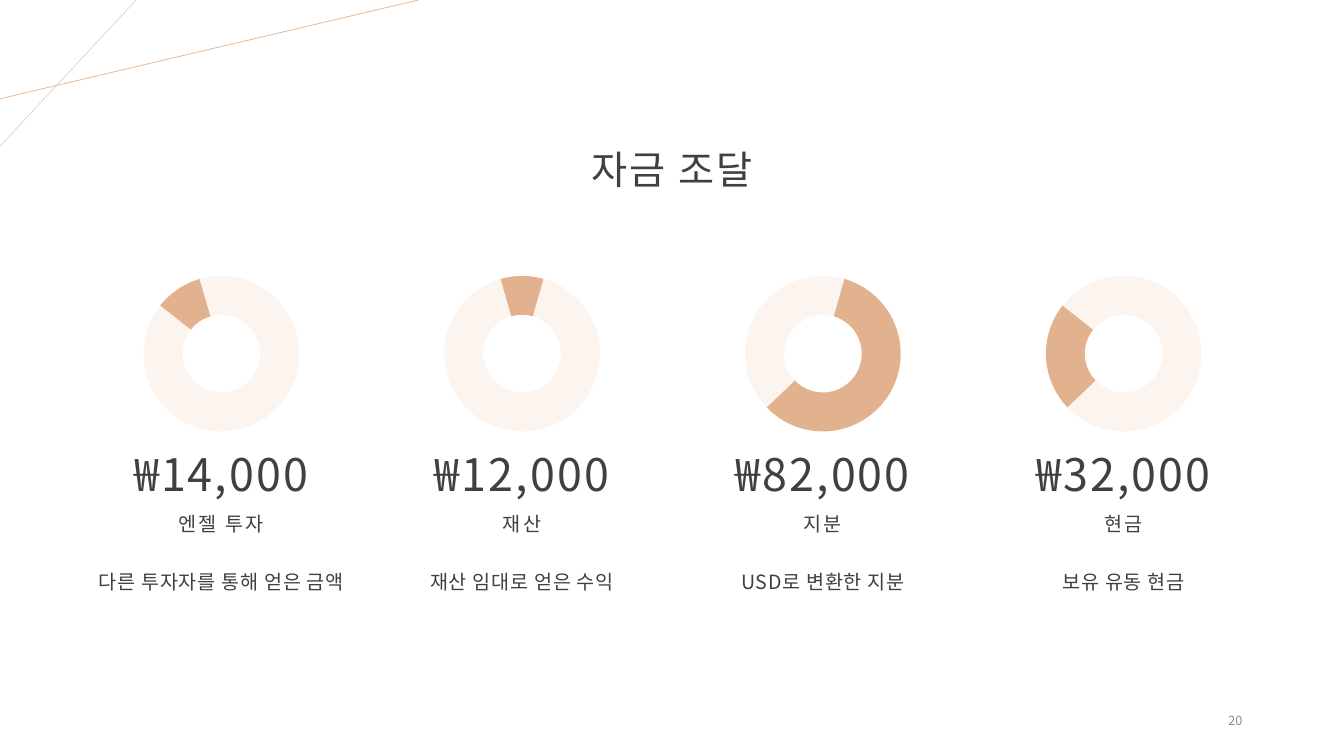
from dataclasses import dataclass

from lxml import etree
from pptx import Presentation
from pptx import util as u
from pptx.chart import data as chart_data
from pptx.dml.color import RGBColor
from pptx.enum import chart as charts, shapes, text
from pptx.oxml import ns, parse_xml

FONT = "Noto Sans CJK KR"
DARK, GREY, TAN, PALE = "404040", "8C8C8C", "E2B18D", "FBF4EF"
COLUMN_LEFT, COLUMN_WIDTH = 0.92, 2.55
COLUMN_PITCH = (9.87 - COLUMN_LEFT) / 3
CHART_INDENT = 0.26
SHARES = (59, 23, 10, 9)


@dataclass
class Fund:
    amount: str
    source: str
    detail: str
    slice_index: int


@dataclass
class CornerLine:
    top_x: float
    left_y: float
    width: float


FUNDS = [
    Fund("₩14,000", "엔젤 투자", "다른 투자자를 통해 얻은 금액", 2),
    Fund("₩12,000", "재산", "재산 임대로 얻은 수익", 3),
    Fund("₩82,000", "지분", "USD로 변환한 지분", 0),
    Fund("₩32,000", "현금", "보유 유동 현금", 1),
]
CORNER_LINES = [CornerLine(1.35, 1.45, 0.25), CornerLine(4.15, 0.98, 0.5)]


def rgb(value: str) -> RGBColor:
    return RGBColor.from_string(value)


def place(shape, left: float, top: float, width: float, height: float) -> None:
    shape.left, shape.top = u.Inches(left), u.Inches(top)
    shape.width, shape.height = u.Inches(width), u.Inches(height)


def write(shape, words: str, *, size: float, color: str = DARK, spacing: float = 0,
          align=text.PP_ALIGN.CENTER, anchor=text.MSO_ANCHOR.MIDDLE,
          line_spacing: float = 1.0, side_inset: float = 0.1) -> None:
    """Fill a shape with one formatted paragraph; spacing is in points."""
    frame = shape.text_frame
    frame.word_wrap = True
    frame.auto_size = text.MSO_AUTO_SIZE.NONE
    frame.vertical_anchor = anchor
    frame.margin_left = frame.margin_right = u.Inches(side_inset)
    frame.margin_top = frame.margin_bottom = u.Inches(0.05)
    paragraph = frame.paragraphs[0]
    paragraph.alignment = align
    paragraph.line_spacing = line_spacing
    paragraph.space_before = u.Pt(0)
    run = paragraph.add_run()
    run.text = words
    run.font.size = u.Pt(size)
    run.font.name = FONT
    run.font.color.rgb = rgb(color)
    properties = run.font._element
    properties.set("spc", str(round(spacing * 100)))
    etree.SubElement(properties, ns.qn("a:ea")).set("typeface", FONT)


def add_text(slide, words: str, left: float, top: float, width: float,
             height: float, **style) -> None:
    box = slide.shapes.add_textbox(0, 0, 0, 0)
    place(box, left, top, width, height)
    write(box, words, **style)


def add_corner_line(slide, line: CornerLine) -> None:
    connector = slide.shapes.add_connector(
        shapes.MSO_CONNECTOR.STRAIGHT, u.Inches(line.top_x), 0, 0, u.Inches(line.left_y))
    connector.line.color.rgb = rgb(TAN)
    connector.line.width = u.Pt(line.width)
    etree.SubElement(connector._element.spPr, ns.qn("a:effectLst"))


def add_doughnut(slide, left: float, slice_index: int) -> None:
    """Draw the shares with one slice highlighted."""
    data = chart_data.CategoryChartData()
    data.categories = [str(number + 1) for number in range(len(SHARES))]
    data.add_series("Series 1", SHARES)
    chart = slide.shapes.add_chart(
        charts.XL_CHART_TYPE.DOUGHNUT, u.Inches(left), u.Inches(2.59),
        u.Inches(2.03), u.Inches(1.82), data).chart
    chart.has_legend = chart.has_title = False
    chart.font.name = "Roboto"
    chart.font.size = u.Pt(10)
    chart.font.color.rgb = rgb("000000")
    plot = chart.plots[0]
    plot.vary_by_categories = True
    for index in range(len(SHARES)):
        form = plot.series[0].points[index].format
        form.fill.solid()
        form.fill.fore_color.rgb = rgb(TAN if index == slice_index else PALE)
        form.line.fill.background()
    doughnut = plot._element
    doughnut.find(ns.qn("c:firstSliceAng")).set("val", "16")
    doughnut.find(ns.qn("c:holeSize")).set("val", "80")
    plot_area = doughnut.getparent()
    for layout in plot_area.findall(ns.qn("c:layout")):
        plot_area.remove(layout)
    plot_area.insert(0, parse_xml(
        f'<c:layout {ns.nsdecls("c")}><c:manualLayout><c:layoutTarget val="inner"/>'
        '<c:xMode val="edge"/><c:yMode val="edge"/><c:x val="0.12"/><c:y val="0.08"/>'
        '<c:w val="0.76"/><c:h val="0.85"/></c:manualLayout></c:layout>'))


def add_fund(slide, fund: Fund, left: float) -> None:
    add_doughnut(slide, left + CHART_INDENT, fund.slice_index)
    heading = dict(anchor=text.MSO_ANCHOR.BOTTOM, line_spacing=0.9, spacing=1.5, side_inset=0)
    add_text(slide, fund.amount, left, 4.14, COLUMN_WIDTH, 0.88, size=32, **heading)
    add_text(slide, fund.source, left, 4.88, COLUMN_WIDTH, 0.48, size=14, **heading)
    add_text(slide, fund.detail, left, 5.6, COLUMN_WIDTH, 0.93, size=14, spacing=0.5,
             anchor=text.MSO_ANCHOR.TOP, side_inset=0)


def main() -> None:
    presentation = Presentation()
    presentation.slide_width = u.Inches(13.33)
    presentation.slide_height = u.Inches(7.5)
    slide = presentation.slides.add_slide(presentation.slide_layouts.get_by_name("Title Only"))
    for line in CORNER_LINES:
        add_corner_line(slide, line)
    title = slide.shapes.title
    place(title, 2.06, 0.98, 9.21, 1.45)
    write(title, "자금 조달", size=28, spacing=1.5, line_spacing=0.9)
    for column, fund in enumerate(FUNDS):
        add_fund(slide, fund, COLUMN_LEFT + column * COLUMN_PITCH)
    add_text(slide, "20", 9.42, 6.95, 3, 0.4, size=9, color=GREY, align=text.PP_ALIGN.RIGHT)
    presentation.save("out.pptx")


if __name__ == "__main__":
    main()
